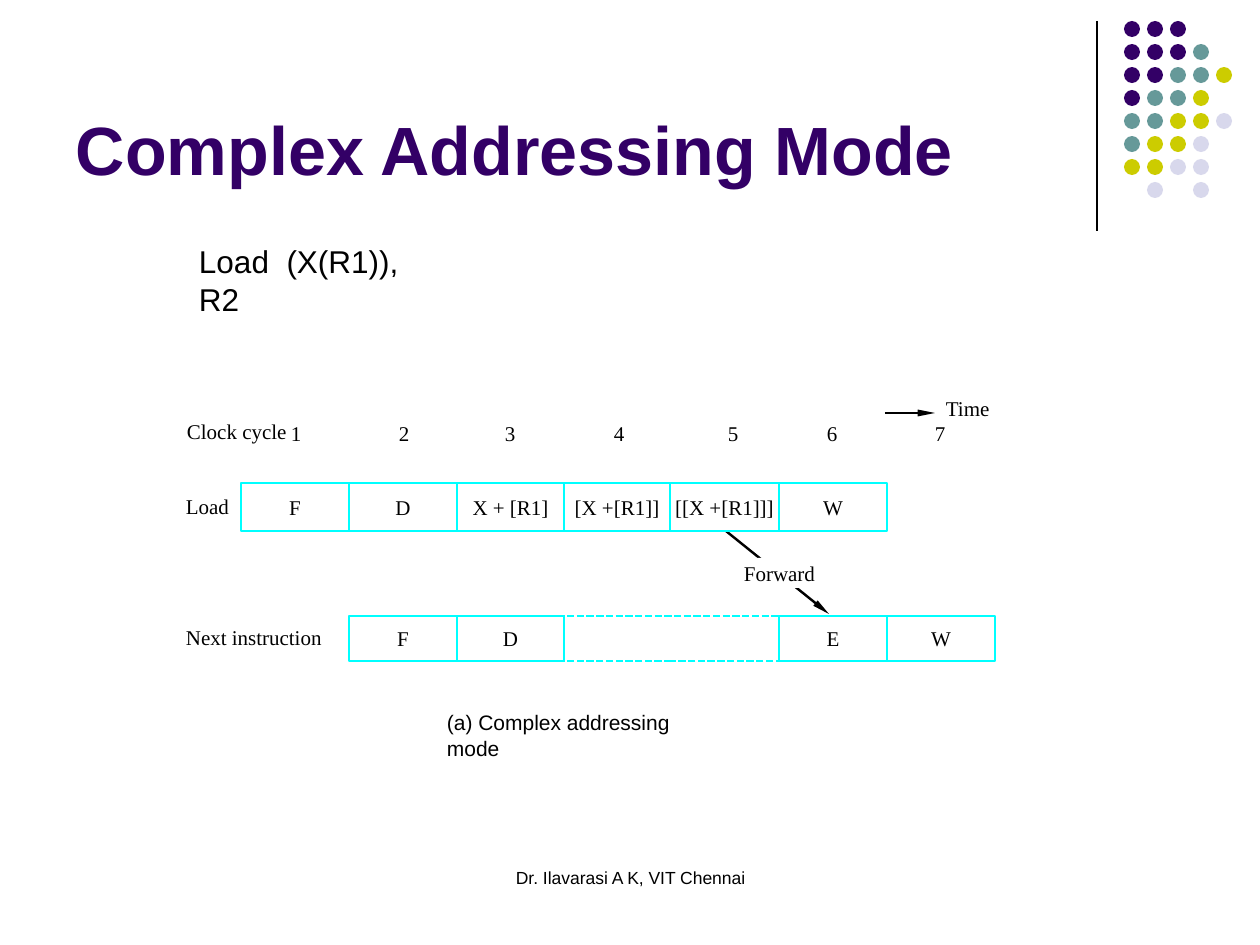
from dataclasses import dataclass

from lxml import etree
from pptx import Presentation
from pptx.dml.color import RGBColor
from pptx.enum.dml import MSO_LINE
from pptx.enum.shapes import MSO_CONNECTOR, MSO_SHAPE
from pptx.enum.text import MSO_ANCHOR, PP_ALIGN
from pptx.oxml.ns import qn
from pptx.util import Pt

PX = 914400 // 126  # EMU in one px


@dataclass(frozen=True)
class Theme:
    ink: str = "000000"
    paper: str = "FFFFFF"
    title: str = "330066"
    cell: str = "00FFFF"
    sans: str = "Arial"
    serif: str = "Times New Roman"
    title_size: int = 39
    lead_size: int = 18
    label_size: int = 12
    footer_size: int = 10
    stroke: float = 1.39
    hairline: float = 0.75


THEME = Theme()

# Content: the dot ornament, one letter per colour
DOT_COLOURS = {"P": "330066", "T": "669999", "Y": "CCCC00", "L": "D8D8EC"}
DOT_ROWS = ["PPP", "PPPT", "PPTTY", "PTTY", "TTYYL", "TYYL", "YYLL", " L L"]
DOT_LEFT, DOT_TOP, DOT_STEP, DOT_SIZE = 1124, 21, 23, 16

# Content: the pipeline; each stage spans one clock cycle
CYCLE_EDGES = [241, 349, 457, 564, 670, 779, 887, 995]
CYCLE_CENTRES = [296, 404, 510, 619, 733, 832, 940]
LOAD_ROW = (483, 48)
NEXT_ROW = (616, 45)
STAGES = [
    (LOAD_ROW, 0, ["F", "D", "X + [R1]", "[X +[R1]]", "[[X +[R1]]]", "W"]),
    (NEXT_ROW, 1, ["F", "D"]),
    (NEXT_ROW, 5, ["E", "W"]),
]
STALL = (3, 5)  # first and last edge of the dashed gap
ROW_LABELS = [
    (187, 419, "Clock cycle"),
    (186, 494, "Load"),
    (186, 625, "Next instruction"),
    (946, 396, "Time"),
]
LABEL_HEIGHT, NUMBER_TOP = 25, 421

deck = Presentation()
deck.slide_width, deck.slide_height = 1260 * PX, 945 * PX
page = deck.slides.add_slide(deck.slide_layouts[6])


def colour(code):
    return RGBColor.from_string(code)


def write(shape, text, size, font=THEME.serif, ink=THEME.ink, bold=False,
          align=PP_ALIGN.LEFT, anchor=MSO_ANCHOR.TOP, inset=(0, 0), wrap=False):
    frame = shape.text_frame
    frame.word_wrap = wrap
    frame.vertical_anchor = anchor
    frame.margin_left = frame.margin_right = inset[0] * PX
    frame.margin_top = frame.margin_bottom = inset[1] * PX
    para = frame.paragraphs[0]
    para.alignment = align
    span = para.add_run()
    span.text = text
    span.font.name, span.font.size, span.font.bold = font, Pt(size), bold
    span.font.color.rgb = colour(ink)


def add_text(left, top, width, height, text, size, **style):
    box = page.shapes.add_textbox(left * PX, top * PX, width * PX, height * PX)
    write(box, text, size, **style)


def add_block(left, top, width, height, kind=MSO_SHAPE.RECTANGLE, fill=None, line=None):
    block = page.shapes.add_shape(kind, left * PX, top * PX, width * PX, height * PX)
    block.shadow.inherit = False
    if fill:
        block.fill.solid()
        block.fill.fore_color.rgb = colour(fill)
    else:
        block.fill.background()
    if line:
        block.line.color.rgb = colour(line)
        block.line.width = Pt(THEME.stroke)
    else:
        block.line.fill.background()
    return block


def write_centred(block, text):
    write(block, text, THEME.label_size, align=PP_ALIGN.CENTER, anchor=MSO_ANCHOR.MIDDLE)


def add_line(x1, y1, x2, y2, width=THEME.stroke, arrow=False):
    line = page.shapes.add_connector(
        MSO_CONNECTOR.STRAIGHT, x1 * PX, y1 * PX, x2 * PX, y2 * PX)
    line.line.color.rgb = colour(THEME.ink)
    line.line.width = Pt(width)
    if arrow:
        etree.SubElement(line.line._get_or_add_ln(), qn("a:tailEnd"),
                         type="triangle", w="sm", len="lg")
    etree.SubElement(line._element.spPr, qn("a:effectLst"))


# Corner ornament
add_line(1097, 21, 1097, 231, THEME.hairline)
for row, letters in enumerate(DOT_ROWS):
    for column, letter in enumerate(letters):
        if letter in DOT_COLOURS:
            add_block(DOT_LEFT + column * DOT_STEP, DOT_TOP + row * DOT_STEP,
                      DOT_SIZE, DOT_SIZE, MSO_SHAPE.OVAL, DOT_COLOURS[letter])

# Title and instruction
add_text(63, 16, 1040, 179, "Complex Addressing Mode", THEME.title_size,
         font=THEME.sans, ink=THEME.title, bold=True,
         anchor=MSO_ANCHOR.BOTTOM, inset=(13, 6), wrap=True)
add_text(186, 236, 273, 50, "Load  (X(R1)), R2", THEME.lead_size,
         font=THEME.sans, inset=(13, 6))

# Row labels and clock cycles
for left, top, label in ROW_LABELS:
    add_text(left, top, 140, LABEL_HEIGHT, label, THEME.label_size)
for number, centre in enumerate(CYCLE_CENTRES, start=1):
    add_text(centre - 5, NUMBER_TOP, 10, LABEL_HEIGHT, str(number),
             THEME.label_size, align=PP_ALIGN.CENTER)
add_line(885, 413, 935, 413, arrow=True)

# Forwarding arrow, interrupted by its label
add_line(726, 531, 829, 614, arrow=True)
write_centred(add_block(731, 558, 97, 30, fill=THEME.paper), "Forward")

# Stall gap, then the pipeline stages over it
stall_left, stall_right = (CYCLE_EDGES[edge] for edge in STALL)
stall = add_block(stall_left, NEXT_ROW[0], stall_right - stall_left, NEXT_ROW[1],
                  line=THEME.cell)
stall.line.dash_style = MSO_LINE.SQUARE_DOT
for (top, height), first, names in STAGES:
    for cycle, name in enumerate(names, start=first):
        left, right = CYCLE_EDGES[cycle:cycle + 2]
        write_centred(add_block(left, top, right - left, height, line=THEME.cell), name)

# Caption and footer
add_text(447, 710, 281, LABEL_HEIGHT, "(a) Complex addressing mode",
         THEME.label_size, font=THEME.sans)
add_text(431, 861, 399, 63, "Dr. Ilavarasi A K, VIT Chennai", THEME.footer_size,
         font=THEME.sans, align=PP_ALIGN.CENTER, inset=(13, 6), wrap=True)

deck.save("out.pptx")
